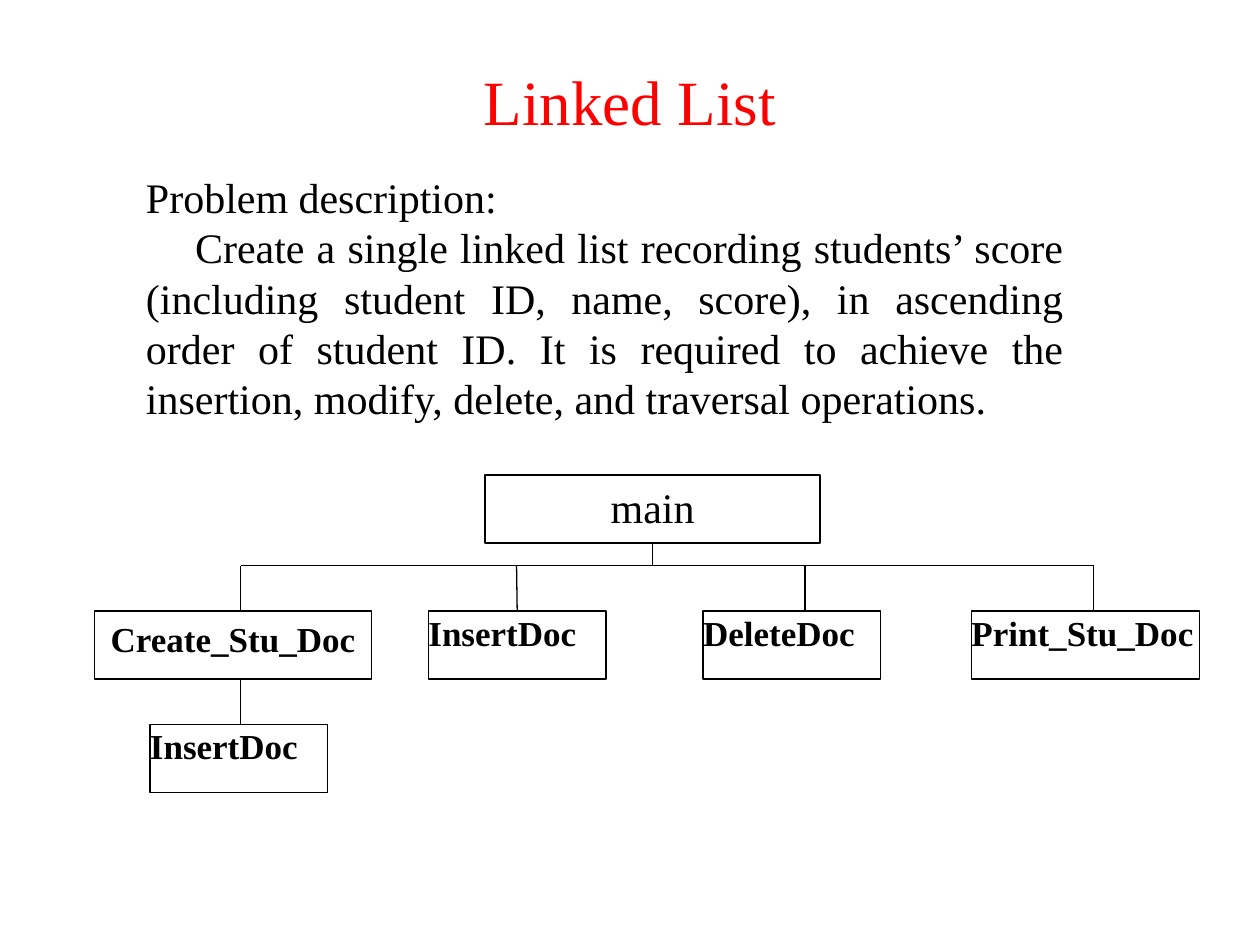
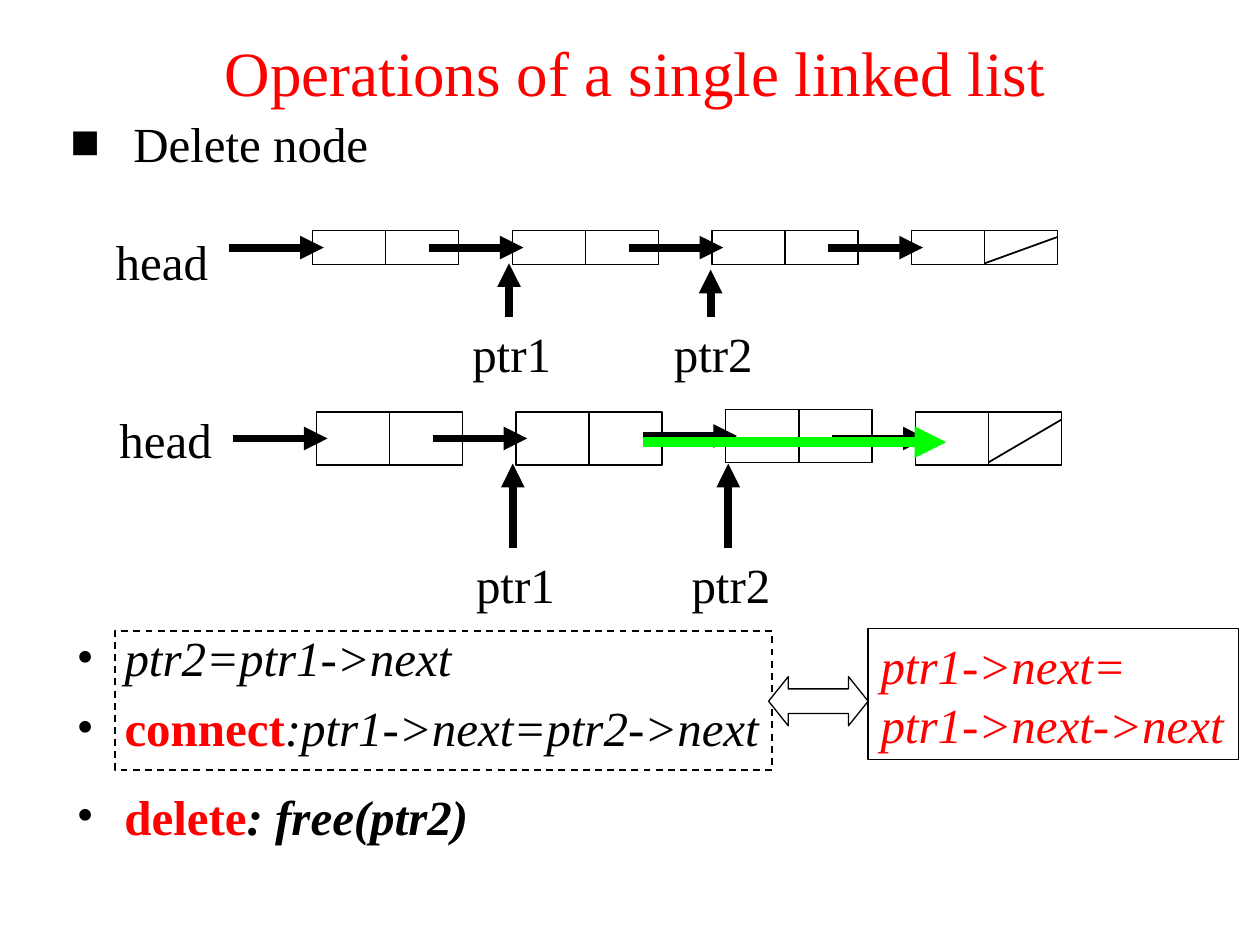
from dataclasses import dataclass

from lxml.etree import SubElement
from pptx import Presentation
from pptx.dml.color import RGBColor
from pptx.enum.dml import MSO_LINE_DASH_STYLE as Dash
from pptx.enum.shapes import MSO_CONNECTOR as Connector, MSO_SHAPE as Shape
from pptx.enum.text import PP_ALIGN as Align
from pptx.oxml.ns import qn
from pptx.util import Inches, Pt


@dataclass(frozen=True)
class Theme:
    font: str = "Times New Roman"
    black: RGBColor = RGBColor(0, 0, 0)
    white: RGBColor = RGBColor(255, 255, 255)
    red: RGBColor = RGBColor(255, 0, 0)
    green: RGBColor = RGBColor(0, 255, 0)
    title: int = 36
    large: int = 28
    body: int = 24
    small: int = 20
    thin: float = 0.75
    medium: float = 1
    thick: float = 4.5
    heavy: float = 6


theme = Theme()


def style_text(frame, size, color=theme.black, align=Align.LEFT, bold=False, italic=False):
    for para in frame.paragraphs:
        para.alignment = align
        for span in para.runs:
            span.font.name = theme.font
            span.font.size = Pt(size)
            span.font.color.rgb = color
            span.font.bold = bold
            span.font.italic = italic


def draw_line(page, start, end, width=theme.thin, color=theme.black, arrow=False):
    line = page.shapes.add_connector(
        Connector.STRAIGHT, *(Inches(value) for value in (*start, *end)))
    line.line.width = Pt(width)
    line.line.color.rgb = color
    if arrow:
        SubElement(line.line._get_or_add_ln(), qn("a:tailEnd"), type="triangle")
    SubElement(line._element.spPr, qn("a:effectLst"))
    return line


deck = Presentation()
deck.slide_width = Inches(10)
deck.slide_height = Inches(7.5)

pages = []
for heading, left, top in [
    ("Linked List", 0, 0.44),
    ("Operations of a single linked list", 0.04, 0.21),
]:
    page = deck.slides.add_slide(deck.slide_layouts[5])
    title = page.shapes.title
    title.left, title.top = Inches(left), Inches(top)
    title.width, title.height = Inches(10), Inches(0.71)
    title.text_frame.text = heading
    style_text(title.text_frame, theme.title, theme.red, Align.CENTER)
    pages.append(page)
overview, deletion = pages

problem = overview.shapes.add_textbox(Inches(1.06), Inches(1.31), Inches(7.48), Inches(2.12))
frame = problem.text_frame
frame.word_wrap = True
frame.text = (
    "Problem description:\n"
    "Create a single linked list recording students’ score (including student ID, name, "
    "score), in ascending order of student ID. It is required to achieve the insertion, "
    "modify, delete, and traversal operations."
)
style_text(frame, theme.body, align=Align.JUSTIFY)
frame.paragraphs[1]._p.get_or_add_pPr().set("indent", str(Inches(0.39)))

modules_height, main_top, branch_top, child_top = 0.54, 3.77, 4.85, 5.75
bus = 4.49
module_boxes = []
for name, left, top, width, size, centred in [
    ("main", 3.85, main_top, 2.66, theme.body, True),
    ("Create_Stu_Doc", 0.75, branch_top, 2.2, theme.small, True),
    ("InsertDoc", 3.4, branch_top, 1.41, theme.small, False),
    ("DeleteDoc", 5.58, branch_top, 1.41, theme.small, False),
    ("Print_Stu_Doc", 7.71, branch_top, 1.81, theme.small, False),
    ("InsertDoc", 1.19, child_top, 1.41, theme.small, False),
]:
    box = overview.shapes.add_shape(
        Shape.RECTANGLE, Inches(left), Inches(top), Inches(width), Inches(modules_height))
    box.shadow.inherit = False
    box.fill.solid()
    box.fill.fore_color.rgb = theme.white
    box.line.color.rgb = theme.black
    box.line.width = Pt(theme.thin)
    frame = box.text_frame
    frame.vertical_anchor = 1
    frame.text = name
    if not centred:
        frame.margin_left = frame.margin_top = frame.margin_right = frame.margin_bottom = 0
    style_text(frame, size, align=Align.CENTER if centred else Align.JUSTIFY, bold=name != "main")
    module_boxes.append(box)

draw_line(overview, (1.91, bus), (8.68, bus))
trunk = draw_line(overview, (5.18, main_top + modules_height), (5.18, bus))
trunk.begin_connect(module_boxes[0], 2)
branches = [draw_line(overview, (x, bus), (x, branch_top)) for x in (1.91, 4.1, 6.39, 8.68)]
branches[1].end_connect(module_boxes[2], 0)
draw_line(overview, (1.91, branch_top + modules_height), (1.91, child_top))

bullet_boxes = [
    ((0.46, 0.94, 2.59, 0.48), 0.5, "■", [[("Delete node", theme.black, False, False)]]),
    ((0.51, 4.93, 5.99, 1.33), 0.38, "•", [
        [("ptr2=ptr1->next", theme.black, False, True)],
        [("connect", theme.red, True, False),
         (":ptr1->next=ptr2->next", theme.black, False, True)],
    ]),
    ((0.51, 6.19, 5.36, 0.71), 0.38, "•", [
        [("delete", theme.red, True, False), (": free(ptr2)", theme.black, True, True)],
    ]),
]
for place, indent, mark, lines in bullet_boxes:
    frame = deletion.shapes.add_textbox(*(Inches(value) for value in place)).text_frame
    frame.word_wrap = mark == "•"
    for index, spans in enumerate(lines):
        para = frame.add_paragraph() if index else frame.paragraphs[0]
        if mark == "•":
            para.alignment = Align.JUSTIFY
            para.space_before = Pt(6.5)
        else:
            para.line_spacing = 0.8
        properties = para._p.get_or_add_pPr()
        properties.set("marL", str(Inches(indent)))
        properties.set("indent", str(-Inches(indent)))
        bullet_color = SubElement(properties, qn("a:buClr"))
        SubElement(bullet_color, qn("a:srgbClr"), val=str(theme.black))
        SubElement(properties, qn("a:buFont"), typeface=theme.font)
        SubElement(properties, qn("a:buChar"), char=mark)
        for text, color, bold, italic in spans:
            span = para.add_run()
            span.text = text
            span.font.name = theme.font
            span.font.size = Pt(theme.large)
            span.font.color.rgb = color
            span.font.bold = bold
            span.font.italic = italic

cell_width, node_pitch = 0.58, 1.585
list_rows = [
    dict(left=2.48, top=1.83, height=0.27, shift=(0, 0), head=(0.82, 1.79), slash=(2.09, 1.88),
         label_top=2.52, pointers=[("ptr1", 4.04, 2.09), ("ptr2", 5.64, 2.14)]),
    dict(left=2.51, top=3.27, height=0.42, shift=(0.08, -0.02), head=(0.85, 3.2),
         slash=(3.67, 3.33), label_top=4.35,
         pointers=[("ptr1", 4.07, 3.68), ("ptr2", 5.78, 3.68)]),
]
for row in list_rows:
    for node in range(4):
        shift_x, shift_y = row["shift"] if node == 2 else (0, 0)
        left = row["left"] + node * node_pitch + shift_x
        top = row["top"] + shift_y
        for cell_left in (left, left + cell_width):
            cell = deletion.shapes.add_shape(
                Shape.RECTANGLE, Inches(cell_left), Inches(top),
                Inches(cell_width), Inches(row["height"]))
            cell.shadow.inherit = False
            cell.fill.background()
            cell.line.color.rgb = theme.black
            cell.line.width = Pt(theme.thin)
        middle = top + row["height"] / 2
        draw_line(deletion, (left - 0.66, middle), (left + 0.09, middle), theme.thick, arrow=True)
    slash_bottom, slash_top = row["slash"]
    draw_line(deletion, (left + cell_width, slash_bottom),
              (left + 2 * cell_width, slash_top), theme.medium)

    labels = [("head", *row["head"], 0.94)]
    for name, x, tip in row["pointers"]:
        draw_line(deletion, (x, row["label_top"]), (x, tip), theme.thick, arrow=True)
        labels.append((name, x - 0.39, row["label_top"], 0.84))
    for name, label_left, label_top, width in labels:
        label = deletion.shapes.add_textbox(
            Inches(label_left), Inches(label_top), Inches(width), Inches(0.57))
        label.text_frame.word_wrap = False
        label.text_frame.text = name
        style_text(label.text_frame, theme.large)

draw_line(deletion, (5.1, 3.51), (7.51, 3.51), theme.heavy, theme.green, arrow=True)

for kind, place, width in [
    (Shape.RECTANGLE, (6.89, 4.99, 2.94, 1.04), theme.thin),
    (Shape.RECTANGLE, (0.91, 5.01, 5.22, 1.1), theme.medium),
    (Shape.LEFT_RIGHT_ARROW, (6.1, 5.37, 0.79, 0.39), theme.thin),
]:
    box = deletion.shapes.add_shape(kind, *(Inches(value) for value in place))
    box.shadow.inherit = False
    box.fill.background()
    box.line.color.rgb = theme.black
    box.line.width = Pt(width)
    if kind == Shape.LEFT_RIGHT_ARROW:
        box.fill.solid()
        box.fill.fore_color.rgb = theme.white
        box.adjustments[0], box.adjustments[1] = 0.5, 0.4
    elif width == theme.medium:
        box.line.dash_style = Dash.DASH
    else:
        box.text_frame.text = "ptr1->next=\nptr1->next->next"
        style_text(box.text_frame, theme.large, theme.red, italic=True)

deck.save("out.pptx")
